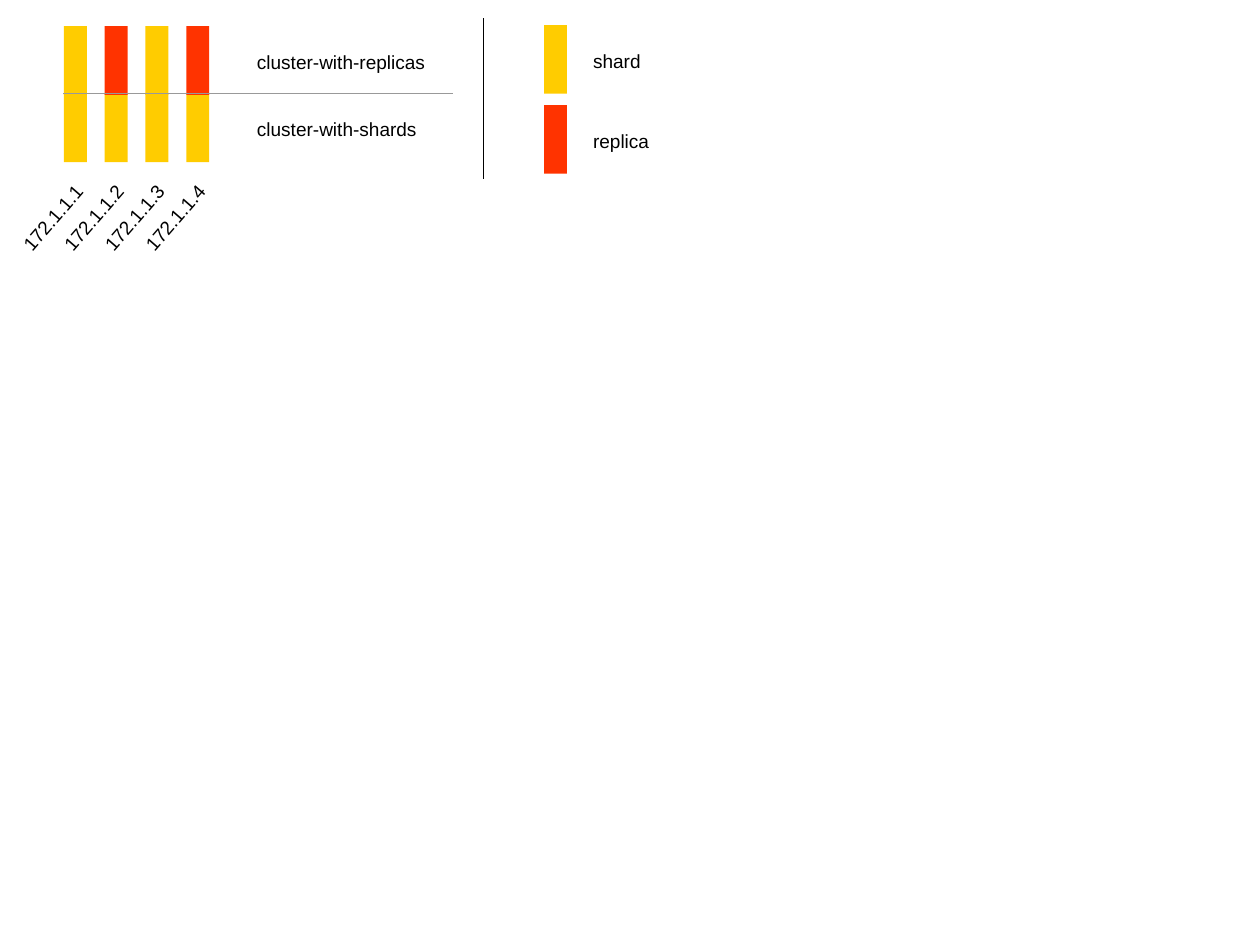
from pptx import Presentation
from pptx.dml.color import RGBColor
from pptx.enum.shapes import MSO_CONNECTOR, MSO_SHAPE
from pptx.enum.text import MSO_AUTO_SIZE
from pptx.oxml.ns import qn
from pptx.util import Inches, Pt
from lxml import etree

RECT = MSO_SHAPE.RECTANGLE
STRAIGHT = MSO_CONNECTOR.STRAIGHT
FIT = MSO_AUTO_SIZE.SHAPE_TO_FIT_TEXT

SHARD, REPLICA = "FFCC00", "FF3300"
BLACK, GREY = "000000", "999999"
CM = 1 / 2.54
BAR_W, BAR_H, TEXT_H = 0.2, 0.6, 0.29
LEFT, PITCH = 0.56, 1.07 / 3


def color(code):
    return RGBColor.from_string(code)


class Canvas:
    def __init__(self, slide):
        self.shapes = slide.shapes
        self.style = {"name": "Arial", "size": Pt(12)}

    def bar(self, x, y, fill):
        box = self.shapes.add_shape(
            RECT, Inches(x), Inches(y), Inches(BAR_W), Inches(BAR_H))
        box.shadow.inherit = False
        box.fill.solid()
        box.fill.fore_color.rgb = color(fill)
        box.line.fill.background()

    def label(self, x, y, width, text, turn=0):
        box = self.shapes.add_textbox(
            Inches(x), Inches(y), Inches(width), Inches(TEXT_H))
        box.rotation = turn
        frame = box.text_frame
        frame.word_wrap = False
        frame.auto_size = FIT
        run = frame.paragraphs[0].add_run()
        run.text = text
        for key, value in self.style.items():
            setattr(run.font, key, value)
        run.font.color.rgb = color(BLACK)

    def rule(self, x1, y1, x2, y2, ink):
        """Draw a hairline between two points."""
        line = self.shapes.add_connector(
            STRAIGHT, Inches(x1), Inches(y1), Inches(x2), Inches(y2))
        line.line.color.rgb = color(ink)
        line.line.width = Pt(0.01)
        etree.SubElement(line._element.spPr, qn("a:effectLst"))


def main():
    deck = Presentation()
    deck.slide_width, deck.slide_height = Inches(28 * CM), Inches(21 * CM)
    canvas = Canvas(deck.slides.add_slide(deck.slide_layouts[6]))

    clusters = [
        (0.82, "cluster-with-shards", 1.6, [SHARD] * 4),
        (0.23, "cluster-with-replicas", 1.67, [SHARD, REPLICA] * 2),
    ]
    for top, name, width, fills in clusters:
        for i, fill in enumerate(fills):
            canvas.bar(LEFT + i * PITCH, top, fill)
        canvas.label(2.15, top + 0.16, width, name)

    for i in range(4):
        canvas.label(0.01 + i * PITCH, 1.75, 0.9, f"172.1.1.{i + 1}", 311)

    legend = [(0.22, "shard", 0.62, SHARD), (0.92, "replica", 0.69, REPLICA)]
    for top, name, width, fill in legend:
        canvas.bar(4.76, top, fill)
        canvas.label(5.09, top + 0.16, width, name)

    canvas.rule(4.23, 0.16, 4.23, 1.56, BLACK)
    canvas.rule(LEFT, 0.82, 3.96, 0.82, GREY)
    deck.save("out.pptx")


if __name__ == "__main__":
    main()
